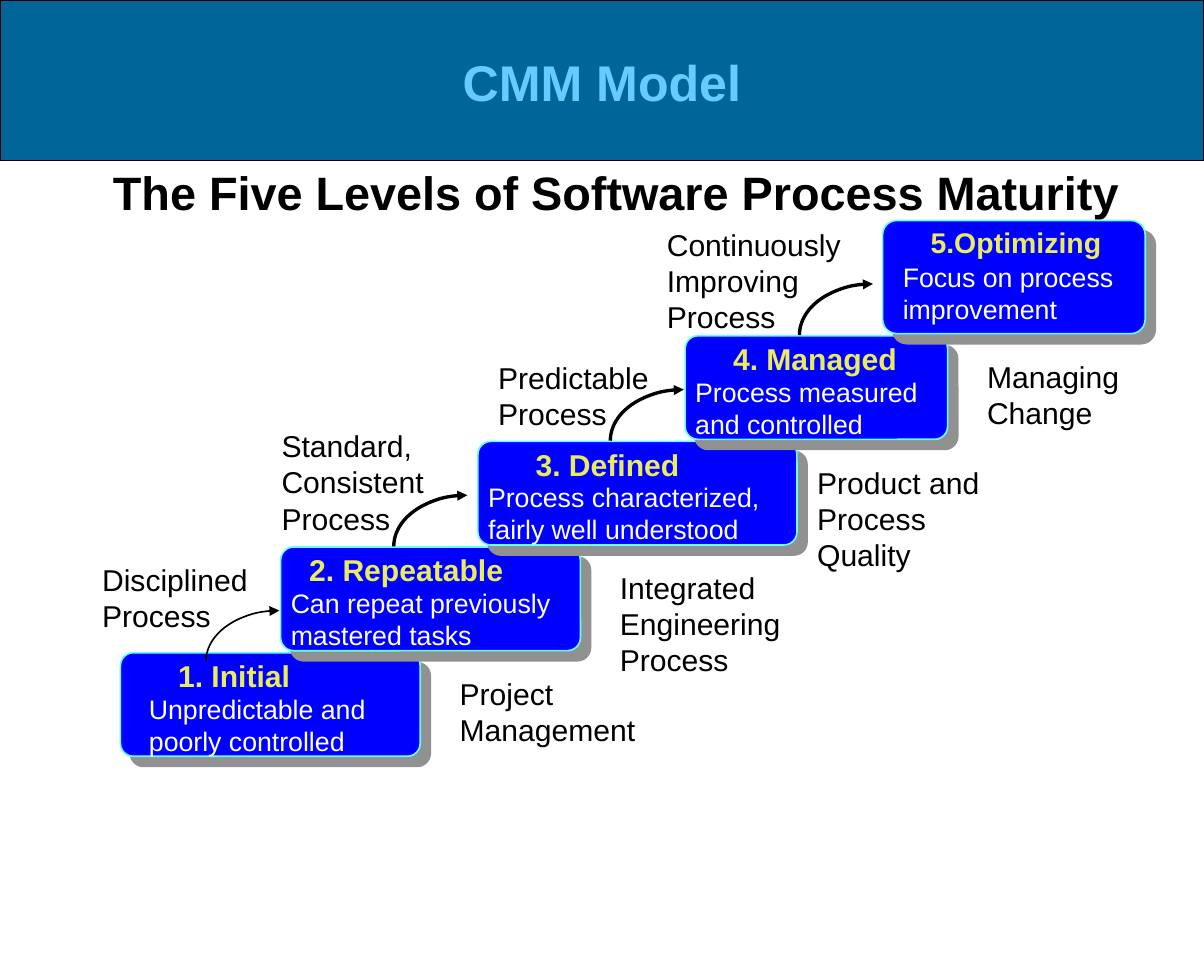
from collections import namedtuple

from lxml import etree
from pptx import Presentation
from pptx.dml.color import RGBColor
from pptx.enum import shapes, text
from pptx.oxml.ns import qn
from pptx.util import Pt

SLIDE_W, SLIDE_H = 720, 576
BANNER_H = 96
BASE_BOTTOM, RISE = 452.4, 63.2
STEP_H, TOP_STEP_H = 62, 67.7
LABEL_W = 136

Step = namedtuple("Step", "left width height heading heading_dx heading_size body body_dx body_w")
Label = namedtuple("Label", "words dx dy width")
Arrow = namedtuple("Arrow", "dx dy weight")

STEPS = [
    (Step(72, 179.3, STEP_H, "1. Initial", 27.4, 18,
          "Unpredictable and poorly controlled", 10, 180),
     Arrow(51.1, -25.2, 1),
     [Label("Disciplined Process", -18, -58.3, LABEL_W),
      Label("Project Management", 195.8, 10, LABEL_W)]),
    (Step(167.8, 179.3, STEP_H, "2. Repeatable", 10, 18,
          "Can repeat previously mastered tasks", -1, 209),
     Arrow(67.7, -31, 2),
     [Label("Standard, Consistent Process", -6.5, -74.9, LABEL_W),
      Label("Integrated Engineering Process", 195.8, 10, LABEL_W)]),
    (Step(285.8, 190.8, STEP_H, "3. Defined", 27.4, 18,
          "Process characterized, fairly well understood", -1, 209),
     Arrow(79.2, -31, 2),
     [Label("Predictable Process", 5, -52.6, LABEL_W),
      Label("Product and Process Quality", 195.8, 10, LABEL_W)]),
    (Step(409.7, 157, STEP_H, "4. Managed", 21.6, 18,
          "Process measured and controlled", -1, 175),
     Arrow(68.4, -31, 2),
     [Label("Continuously Improving Process", -18, -69.1, LABEL_W),
      Label("Managing Change", 173.5, 10, 108)]),
    (Step(527.8, 157, TOP_STEP_H, "5.Optimizing", 21.6, 17,
          "Focus on process improvement", 5, 163),
     None, []),
]


def rgb(hex_color):
    return RGBColor.from_string(hex_color)


def add_text(s, words, x, y, w, h, size, color="000000", bold=False):
    tb = s.shapes.add_textbox(Pt(x), Pt(y), Pt(w), Pt(h))
    tf = tb.text_frame
    tf.word_wrap = True
    tf.text = words
    p = tf.paragraphs[0]
    font = p.runs[0].font
    font.name, font.size, font.bold = "Arial", Pt(size), bold
    font.color.rgb = rgb(color)
    return tf


def add_block(s, kind, x, y, w, h, fill, line, weight):
    sp = s.shapes.add_shape(kind, Pt(x), Pt(y), Pt(w), Pt(h))
    sp.shadow.inherit = False
    sp.fill.solid()
    sp.fill.fore_color.rgb = rgb(fill)
    sp.line.color.rgb = rgb(line)
    sp.line.width = Pt(weight)
    return sp


def add_shadow(sp, color):
    effects = sp._element.spPr.find(qn("a:effectLst"))
    shadow = etree.SubElement(effects, qn("a:outerShdw"), blurRad="0",
                              dist=str(Pt(8.5)), dir="2700000",
                              algn="ctr", rotWithShape="0")
    etree.SubElement(shadow, qn("a:srgbClr"), val=color)


def add_arrow(s, arrow, x, y):
    sp = s.shapes.add_shape(shapes.MSO_SHAPE.ARC, Pt(x + arrow.dx), Pt(y + arrow.dy),
                            Pt(88), Pt(61.2))
    sp.shadow.inherit = False
    sp.adjustments[0], sp.adjustments[1] = 108, 162
    sp.fill.background()
    sp.line.color.rgb = rgb("000000")
    sp.line.width = Pt(arrow.weight)
    etree.SubElement(sp._element.spPr.find(qn("a:ln")), qn("a:tailEnd"), type="triangle")


def add_header(s, x, y, w, h):
    add_block(s, shapes.MSO_SHAPE.RECTANGLE, x, y, w, h, "006699", "000000", 0.75)
    tf = add_text(s, "CMM Model", x, y + 27, w, 43, 30, "66CCFF", True)
    tf.paragraphs[0].alignment = text.PP_ALIGN.CENTER


def add_subtitle(s, x, y, w, h):
    tf = add_text(s, "The Five Levels of Software Process Maturity", x, y, w, h, 28, bold=True)
    tf.vertical_anchor = text.MSO_ANCHOR.MIDDLE
    tf.paragraphs[0].line_spacing = 0.9


def add_step(s, step, arrow, labels, x, y, w, h):
    sp = add_block(s, shapes.MSO_SHAPE.ROUNDED_RECTANGLE, x, y, w, h, "0000FF", "66FFFF", 1)
    sp.adjustments[0] = 0.125
    add_shadow(sp, "919191")
    add_text(s, step.heading, x + step.heading_dx, y - 0.7, 152, 28.8,
             step.heading_size, "EAEC5E", True)
    add_text(s, step.body, x + step.body_dx, y + 20.3, step.body_w, 45, 16, "FFFFFF")
    for label in labels:
        add_text(s, label.words, x + label.dx, y + label.dy, label.width, 50, 18)
    if arrow:
        add_arrow(s, arrow, x, y)


def add_staircase(s, bottom):
    for i, (step, arrow, labels) in enumerate(STEPS):
        top = bottom - RISE * i - step.height
        add_step(s, step, arrow, labels, step.left, top, step.width, step.height)


def main():
    prs = Presentation()
    prs.slide_width, prs.slide_height = Pt(SLIDE_W), Pt(SLIDE_H)
    s = prs.slides.add_slide(prs.slide_layouts[6])
    add_header(s, 0, 0, SLIDE_W, BANNER_H)
    add_subtitle(s, 60.5, 90, 635.8, 54)
    add_staircase(s, BASE_BOTTOM)
    prs.save("out.pptx")


if __name__ == "__main__":
    main()
